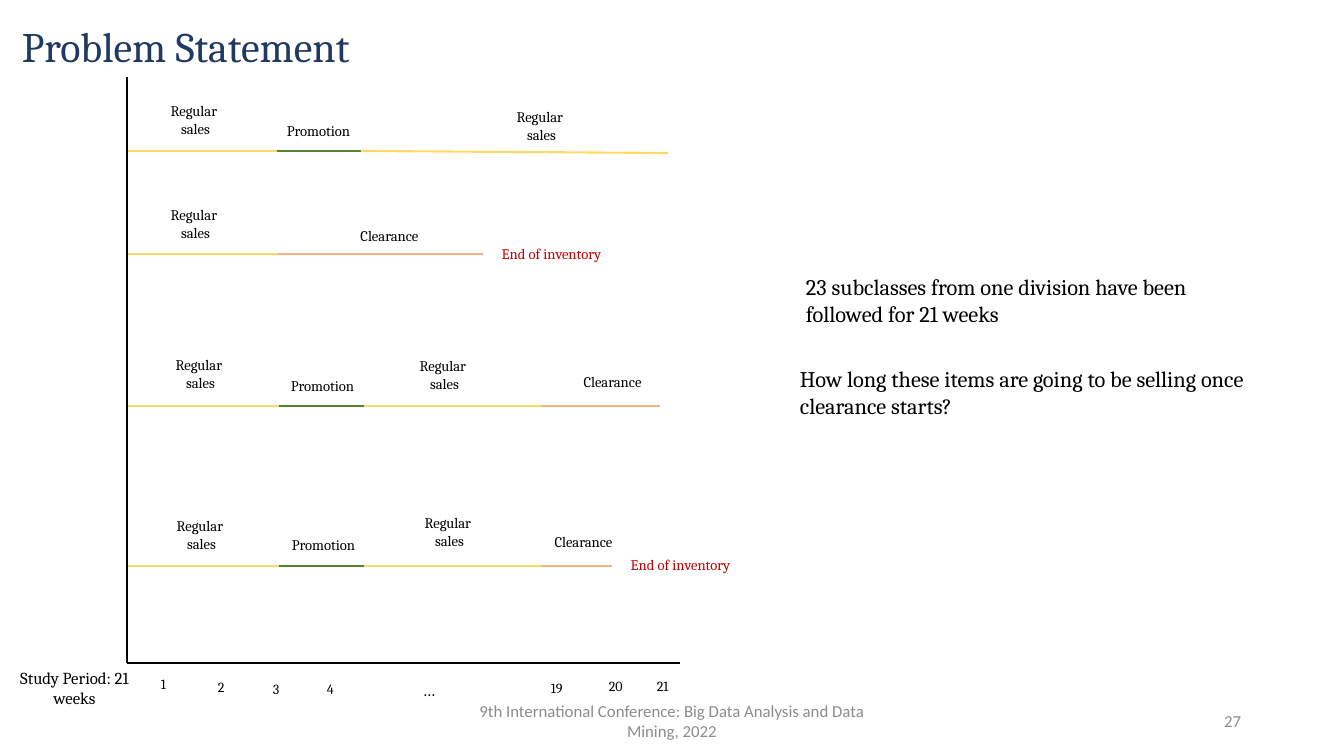
from lxml.etree import SubElement
from pptx import Presentation
from pptx.dml.color import RGBColor
from pptx.enum.shapes import MSO_CONNECTOR as Connector
from pptx.enum.text import MSO_ANCHOR as Anchor, PP_ALIGN as Align
from pptx.oxml.ns import qn
from pptx.util import Pt

PX = 914400 / 100.8

BLACK = RGBColor(0x00, 0x00, 0x00)
NAVY = RGBColor(0x20, 0x38, 0x64)
GRAY = RGBColor(0x8C, 0x8C, 0x8C)
RED = RGBColor(0xC0, 0x00, 0x00)
YELLOW = RGBColor(0xFF, 0xD9, 0x66)
GREEN = RGBColor(0x54, 0x82, 0x35)
ORANGE = RGBColor(0xF4, 0xB1, 0x83)

# Label lines and line colour of each sales phase
PHASES = {
    "regular": (["Regular ", "sales"], YELLOW),
    "promotion": (["Promotion"], GREEN),
    "clearance": (["Clearance"], ORANGE),
}

# Per item: line height, then (phase, end, label left, label top);
# x is measured from the axis, label tops from the line
TIMELINES = [
    (74, [("regular", 150, 3, -54), ("promotion", 234, 126, -34),
          ("regular", 541, 349, -48)], None),
    (177, [("regular", 151, 3, -53), ("clearance", 356, 197, -32)], (359, -14)),
    (329, [("regular", 152, 8, -55), ("promotion", 237, 130, -34),
           ("regular", 414, 252, -54), ("clearance", 533, 420, -38)], None),
    (489, [("regular", 152, 9, -54), ("promotion", 237, 131, -35),
           ("regular", 414, 257, -57), ("clearance", 485, 391, -38)], (488, -15)),
]
FINAL_DROP = {74: 2}  # the first item's last phase slopes slightly down

# Week number with its left and top, measured from the axis origin
WEEKS = [("1", 24, 8), ("2", 81, 11), ("3", 136, 13), ("4", 190, 13),
         ("19", 414, 12), ("20", 472, 10), ("21", 520, 10)]


def px(length):
    return round(length * PX)


def add_text(slide, box, lines, size, color=BLACK, align=Align.LEFT,
             font="Cambria", anchor=Anchor.TOP, spacing=None):
    shape = slide.shapes.add_textbox(*map(px, box))
    frame = shape.text_frame
    frame.word_wrap = True
    frame.vertical_anchor = anchor
    for index, line in enumerate(lines):
        paragraph = frame.add_paragraph() if index else frame.paragraphs[0]
        paragraph.alignment = align
        if spacing:
            paragraph.line_spacing = spacing
        run = paragraph.add_run()
        run.text = line
        run.font.size = Pt(size)
        run.font.name = font
        run.font.color.rgb = color


def add_line(slide, start, end, color):
    line = slide.shapes.add_connector(Connector.STRAIGHT, *map(px, start + end))
    line.line.color.rgb = color
    line.line.width = Pt(1.5)
    SubElement(line._element.spPr, qn("a:effectLst"))


def add_label(slide, left, top, lines, color=BLACK):
    height = 29 if len(lines) == 1 else 47
    add_text(slide, (left, top, 131, height), lines, 10.5, color, Align.CENTER)


def add_timeline(slide, left, y, phases, inventory_end, drop):
    start = 0
    for index, (phase, end, label_left, label_top) in enumerate(phases):
        lines, color = PHASES[phase]
        end_y = y + drop if index == len(phases) - 1 else y
        add_line(slide, (left + start, y), (left + end, end_y), color)
        add_label(slide, left + label_left, y + label_top, lines)
        start = end
    if inventory_end:
        label_left, label_top = inventory_end
        add_label(slide, left + label_left, y + label_top, ["End of inventory"], RED)


def add_chart_region(slide, left, top, width, height):
    bottom = top + height
    for y, phases, inventory_end in TIMELINES:
        add_timeline(slide, left, top + y, phases, inventory_end, FINAL_DROP.get(y, 0))
    # Axes
    add_line(slide, (left, bottom), (left + width, bottom), BLACK)
    add_line(slide, (left, top), (left, bottom), BLACK)
    # Week scale
    add_text(slide, (left - 118, bottom, 131, 50), ["Study Period: 21 weeks"],
             12, align=Align.CENTER)
    for week, x, y in WEEKS:
        add_text(slide, (left + x, bottom + y, 26 if len(week) == 1 else 42, 27), [week], 10)
    add_text(slide, (left + 218, bottom + 12, 168, 30), ["…"], 12, align=Align.CENTER)


def add_questions(slide, left, top, width):
    add_text(slide, (left + 6, top, width, 65),
             ["23 subclasses from one division have been followed for 21 weeks"], 16)
    add_text(slide, (left, top + 92, width, 65),
             ["How long these items are going to be selling once clearance starts?"], 16)


def add_footer(slide, top, height):
    style = {"size": 12, "color": GRAY, "font": "Calibri", "anchor": Anchor.MIDDLE}
    add_text(slide, (445, top, 454, height),
             ["9th International Conference: Big Data Analysis and Data Mining, 2022"],
             align=Align.CENTER, **style)
    add_text(slide, (949, top, 302, height), ["27"], align=Align.RIGHT, **style)


def main():
    presentation = Presentation()
    presentation.slide_width, presentation.slide_height = px(1344), px(756)
    slide = presentation.slides.add_slide(presentation.slide_layouts[6])
    add_text(slide, (12, 21, 1159, 146), ["Problem Statement"], 30, NAVY, spacing=0.9)
    add_chart_region(slide, 127, 77, 553, 586)
    add_questions(slide, 790, 268, 467)
    add_footer(slide, 701, 40)
    presentation.save("out.pptx")


if __name__ == "__main__":
    main()
